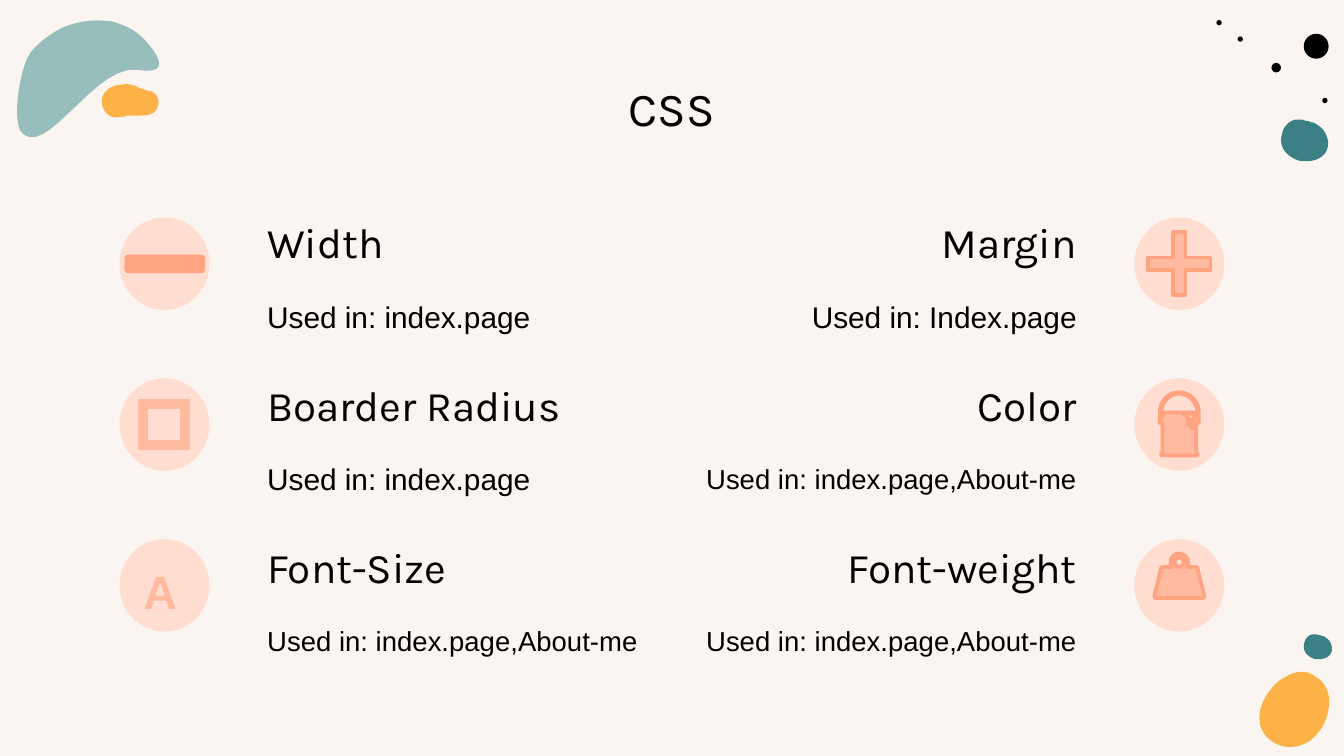
from dataclasses import dataclass

from pptx import Presentation
from pptx.dml.color import RGBColor
from pptx.enum.shapes import MSO_SHAPE
from pptx.enum.text import MSO_ANCHOR, PP_ALIGN
from pptx.util import Cm, Pt

OVAL, CROSS, FRAME = MSO_SHAPE.OVAL, MSO_SHAPE.CROSS, MSO_SHAPE.FRAME
ROUNDED = MSO_SHAPE.ROUNDED_RECTANGLE
LEFT, CENTER, RIGHT = PP_ALIGN.LEFT, PP_ALIGN.CENTER, PP_ALIGN.RIGHT
TOP, MIDDLE = MSO_ANCHOR.TOP, MSO_ANCHOR.MIDDLE

COLORS = {
    "paper": "FAF5F1", "ink": "000000", "sage": "97BEBD", "teal": "3B8085",
    "amber": "FCB247", "disc": "FFDDD1", "peach": "FFBAA0", "coral": "FFA381",
}
PATH_UNIT = 0.0254  # cm per outline unit
CURVE_STEPS = 12
ROW_PITCH, DISC_PITCH = 3.07, 3.04


@dataclass
class Entry:
    heading: str
    usage: str
    size: float = 16


@dataclass
class Column:
    text_left: float
    disc_left: float
    align: PP_ALIGN
    entries: list[Entry]


@dataclass
class Outline:
    """Contours of M, L and C commands, drawn from left and top (cm)."""
    contours: list[str]
    fill: str
    line: str | None = None
    left: float = 0
    top: float = 0
    zoom: float = 1


@dataclass
class Icon:
    kind: MSO_SHAPE
    left: float
    top: float
    width: float
    height: float
    adjust: float
    fill: str
    line: str


DOTS = [(24.64, 0.64, 0.47), (24.03, 1.19, 0.18), (24.99, 1.85, 0.1),
        (22.99, 0.38, 0.1), (23.39, 0.69, 0.1)]

PEBBLE = ["M 14 0 C 13 0 12 0 11 0 6 1 2 5 1 10 -3 21 6 29 15 31 17 31 18 31 19 31 "
          "28 31 36 26 35 16 34 11 32 7 27 4 26 3 24 2 22 2 21 1 19 1 18 1 17 0 15 0 14 0"]

BLOBS = [
    Outline(["M 22 102 C 19 101 17 100 15 97 10 87 14 58 20 44 24 34 39 24 48 20 "
             "58 16 71 14 83 16 91 18 100 22 106 28 113 35 132 57 102 52 74 48 41 106 22 102"],
            "sage"),
    Outline(PEBBLE, "teal", left=24.21, top=2.26),
    Outline(["M 969 500 C 972 500 975 501 978 503 985 507 989 514 989 522 989 533 984 544 975 551 "
             "971 554 965 556 960 556 949 556 937 548 937 534 937 523 946 509 956 504 "
             "957 504 957 503 958 503 961 501 965 500 969 500"], "amber"),
    Outline(PEBBLE, "teal", left=24.64, top=11.99, zoom=0.6),
    Outline(["M 91 63 C 94 62 98 63 101 64 103 65 104 66 106 66 108 67 111 68 113 68 "
             "116 70 118 72 118 76 118 79 117 82 114 84 111 86 108 86 102 86 "
             "100 86 97 86 94 86 93 87 91 87 89 87 85 88 82 87 79 84 "
             "74 78 75 70 81 66 84 64 87 63 91 63"], "amber"),
]

PAINT_BUCKET = Outline([
    "M 877 292 C 869 292 863 299 863 307 L 863 315 865 315 865 337 864 337 864 339 "
    "891 339 891 337 890 337 890 315 892 315 892 307 C 892 299 886 292 877 292",
    "M 877 293 C 885 293 891 300 891 307 L 891 311 890 311 890 308 891 308 890 307 "
    "865 307 864 308 865 308 865 311 864 311 864 307 C 864 300 870 293 877 293",
    "M 880 308 L 888 308 888 318 C 888 319 887 319 887 318 L 887 313 "
    "C 887 312 885 312 885 313 L 885 316 C 885 317 884 317 884 316 "
    "L 884 312 C 884 310 882 308 880 308"], "peach", "coral")
WEIGHT = Outline([
    "M 877 412 C 874 412 871 415 871 418 871 420 871 421 872 422 L 866 422 "
    "C 865 422 864 422 864 423 L 859 443 C 859 444 859 445 860 445 L 895 445 "
    "C 896 445 896 444 896 443 L 891 423 C 891 422 890 422 889 422 L 883 422 "
    "C 884 421 884 420 884 418 884 415 881 412 877 412",
    "M 877 415 C 879 415 881 417 881 418 881 420 879 422 877 422 "
    "876 422 874 420 874 418 874 417 876 415 877 415"], "peach", "coral")

ICONS = [
    Icon(ROUNDED, 2.39, 4.85, 1.45, 0.28, 0.12, "coral", "coral"),
    Icon(CROSS, 21.69, 4.39, 1.19, 1.19, 0.4, "peach", "coral"),
    Icon(FRAME, 2.64, 7.57, 0.91, 0.91, 0.13, "peach", "peach"),
]

COLUMNS = [
    Column(4.8, 2.26, LEFT, [
        Entry("Width", "Used in: index.page"),
        Entry("Boarder Radius", "Used in: index.page"),
        Entry("Font-Size", "Used in: index.page,About-me", 14.7)]),
    Column(13.08, 21.44, RIGHT, [
        Entry("Margin", "Used in: Index.page"),
        Entry("Color", "Used in: index.page,About-me", 14.7),
        Entry("Font-weight", "Used in: index.page,About-me", 14.7)]),
]


def rgb(name: str) -> RGBColor:
    return RGBColor.from_string(COLORS[name])


def paint(sp, fill: str, line: str | None = None) -> None:
    sp.shadow.inherit = False
    sp.fill.solid()
    sp.fill.fore_color.rgb = rgb(fill)
    if line:
        sp.line.color.rgb = rgb(line)
        sp.line.width = Pt(2)
    else:
        sp.line.fill.background()


def add_preset(s, kind: MSO_SHAPE, left: float, top: float, width: float, height: float,
               fill: str, line: str | None = None):
    sp = s.shapes.add_shape(kind, Cm(left), Cm(top), Cm(width), Cm(height))
    paint(sp, fill, line)
    return sp


def add_text(s, text: str, left: float, top: float, width: float, height: float, *,
             size: float, font: str = "Arial", color: str = "ink", bold: bool = False,
             align: PP_ALIGN = LEFT, anchor: MSO_ANCHOR = MIDDLE, inset: float = 0.25) -> None:
    tf = s.shapes.add_textbox(Cm(left), Cm(top), Cm(width), Cm(height)).text_frame
    tf.word_wrap = True
    tf.vertical_anchor = anchor
    tf.margin_left = tf.margin_right = tf.margin_top = tf.margin_bottom = Cm(inset)
    p = tf.paragraphs[0]
    p.alignment = align
    r = p.add_run()
    r.text = text
    r.font.size, r.font.name, r.font.bold = Pt(size), font, bold
    r.font.color.rgb = rgb(color)


def trace(contour: str) -> list[tuple[float, float]]:
    """Turn a contour into points, sampling its cubic curves."""
    points, command, numbers = [], "M", []
    for token in contour.split():
        if token.isalpha():
            command = token
            continue
        numbers.append(float(token))
        if len(numbers) < (6 if command == "C" else 2):
            continue
        ends = list(zip(numbers[::2], numbers[1::2]))
        numbers = []
        if command != "C":
            points += ends
            continue
        a, b, c, d = points[-1], *ends
        for step in range(1, CURVE_STEPS + 1):
            t = step / CURVE_STEPS
            u = 1 - t
            points.append(tuple(
                u**3 * a[i] + 3 * u * u * t * b[i] + 3 * u * t * t * c[i] + t**3 * d[i]
                for i in (0, 1)))
    return points


def add_outline(s, outline: Outline) -> None:
    unit = PATH_UNIT * outline.zoom
    builder = None
    for contour in outline.contours:
        points = [(Cm(outline.left + x * unit), Cm(outline.top + y * unit))
                  for x, y in trace(contour)]
        if builder is None:
            builder = s.shapes.build_freeform(*points[0])
        else:
            builder.move_to(*points[0])
        builder.add_line_segments(points[1:], close=True)
    paint(builder.convert_to_shape(), outline.fill, outline.line)


def add_column(s, column: Column) -> None:
    for row, entry in enumerate(column.entries):
        top = 3.84 + row * ROW_PITCH
        add_text(s, entry.heading, column.text_left, top, 7.52, 1.47,
                 size=22.6, font="Karla", align=column.align)
        add_text(s, entry.usage, column.text_left, top + 1.46, 7.52, 1.35,
                 size=entry.size, align=column.align)
        add_preset(s, OVAL, column.disc_left, 4.11 + row * DISC_PITCH, 1.7, 1.75, "disc")


def main() -> None:
    prs = Presentation()
    prs.slide_width, prs.slide_height = Cm(25.4), Cm(14.29)
    s = prs.slides.add_slide(prs.slide_layouts[6])
    s.background.fill.solid()
    s.background.fill.fore_color.rgb = rgb("paper")

    for left, top, diameter in DOTS:
        add_preset(s, OVAL, left, top, diameter, diameter, "ink")
    for blob in BLOBS:
        add_outline(s, blob)
    add_text(s, "CSS", 1.98, 1.24, 21.44, 1.6, size=25.3, font="Karla",
             align=CENTER, anchor=TOP)
    for column in COLUMNS:
        add_column(s, column)
    for icon in ICONS:
        sp = add_preset(s, icon.kind, icon.left, icon.top, icon.width, icon.height,
                        icon.fill, icon.line)
        sp.adjustments[0] = icon.adjust
    for outline in (PAINT_BUCKET, WEIGHT):
        add_outline(s, outline)
    add_text(s, "A", 2.26, 10.56, 1.54, 1.2, size=25, color="peach", bold=True,
             align=CENTER, inset=0)
    prs.save("out.pptx")


if __name__ == "__main__":
    main()
